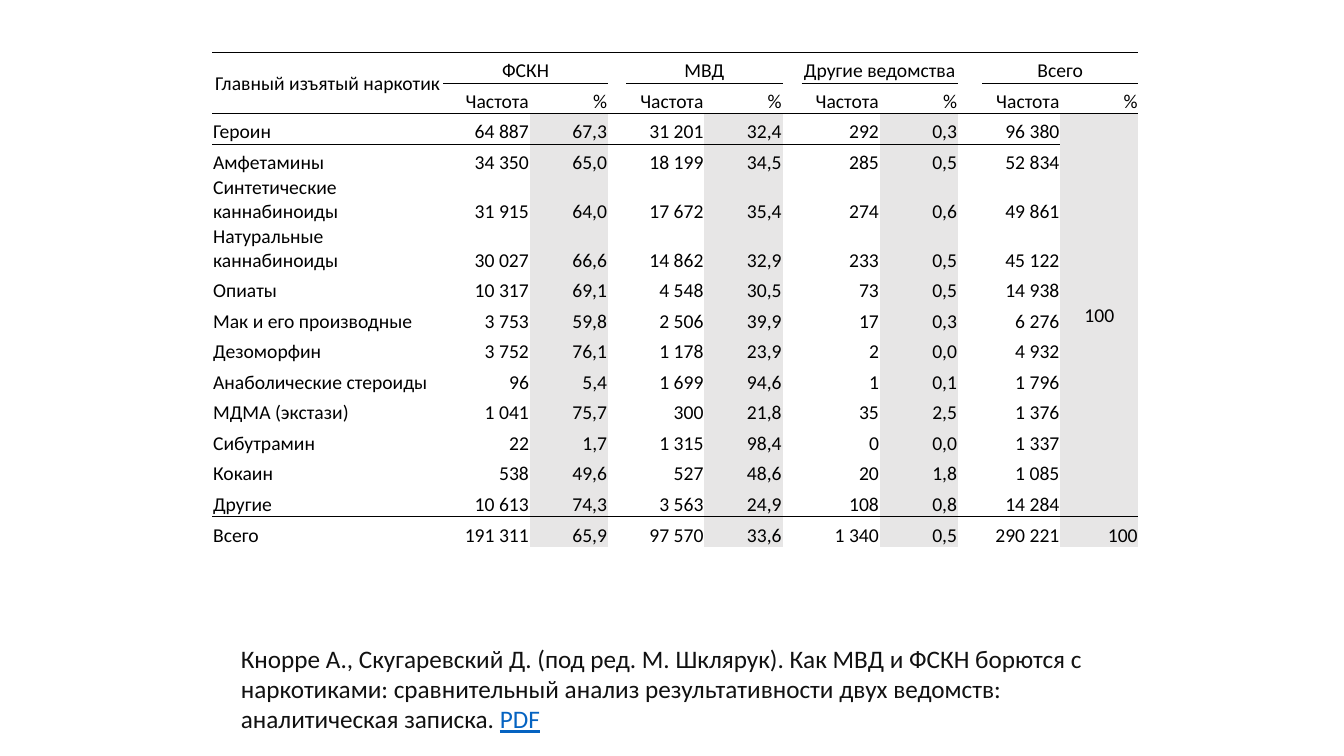
from lxml import etree
from pptx import Presentation
from pptx.dml.color import RGBColor
from pptx.enum.text import MSO_ANCHOR, MSO_AUTO_SIZE, PP_ALIGN
from pptx.oxml import parse_xml
from pptx.oxml.ns import nsdecls, qn
from pptx.util import Cm, Pt

LEFT, CENTER, RIGHT = PP_ALIGN.LEFT, PP_ALIGN.CENTER, PP_ALIGN.RIGHT
MIDDLE, BOTTOM = MSO_ANCHOR.MIDDLE, MSO_ANCHOR.BOTTOM
FIT_SHAPE = MSO_AUTO_SIZE.SHAPE_TO_FIT_TEXT

THEME = {
    "font": "Calibri", "table_size": 14, "note_size": 18, "rule_width": 0.5,
    "ink": "000000", "note": "111111", "link": "0563C1",
    "shade": "E7E6E6", "paper": "FFFFFF",
}
NO_STYLE = "{2D5ABB26-0587-4C30-8999-92F81FD0307C}"

AGENCIES = ["ФСКН", "МВД", "Другие ведомства", "Всего"]
DRUGS = [
    ("Героин", "64 887", "67,3", "31 201", "32,4", "292", "0,3", "96 380", "100"),
    ("Амфетамины", "34 350", "65,0", "18 199", "34,5", "285", "0,5", "52 834", ""),
    ("Синтетические каннабиноиды", "31 915", "64,0", "17 672", "35,4", "274", "0,6", "49 861", ""),
    ("Натуральные каннабиноиды", "30 027", "66,6", "14 862", "32,9", "233", "0,5", "45 122", ""),
    ("Опиаты", "10 317", "69,1", "4 548", "30,5", "73", "0,5", "14 938", ""),
    ("Мак и его производные", "3 753", "59,8", "2 506", "39,9", "17", "0,3", "6 276", ""),
    ("Дезоморфин", "3 752", "76,1", "1 178", "23,9", "2", "0,0", "4 932", ""),
    ("Анаболические стероиды", "96", "5,4", "1 699", "94,6", "1", "0,1", "1 796", ""),
    ("МДМА (экстази)", "1 041", "75,7", "300", "21,8", "35", "2,5", "1 376", ""),
    ("Сибутрамин", "22", "1,7", "1 315", "98,4", "0", "0,0", "1 337", ""),
    ("Кокаин", "538", "49,6", "527", "48,6", "20", "1,8", "1 085", ""),
    ("Другие", "10 613", "74,3", "3 563", "24,9", "108", "0,8", "14 284", ""),
    ("Всего", "191 311", "65,9", "97 570", "33,6", "1 340", "0,5", "290 221", "100"),
]
WIDTHS = [5.82, 2.18, 1.97, 0.46, 1.97, 1.97, 0.48, 1.97, 1.97, 0.61, 1.97, 1.97]
ROW_HEIGHT, TALL_HEIGHT = 0.77, 1.23
TALL_ROWS = (4, 5)
FREQ_COLS, SHARE_COLS, GAP_COLS = (1, 4, 7, 10), (2, 5, 8, 11), (3, 6, 9)
LAST_ROW = len(DRUGS) + 1
LAST_COL = len(WIDTHS) - 1


def add_text(p, text, size, color, underline=None):
    r = p.add_run()
    r.text = text
    font = {"name": THEME["font"], "size": Pt(size), "underline": underline}
    for key, value in font.items():
        setattr(r.font, key, value)
    r.font.color.rgb = RGBColor.from_string(color)


def add_border(cell, side):
    width = Pt(THEME["rule_width"])
    cell._tc.get_or_add_tcPr().insert(0, parse_xml(
        f'<a:ln{side} {nsdecls("a")} w="{width}"><a:solidFill>'
        f'<a:srgbClr val="{THEME["ink"]}"/></a:solidFill></a:ln{side}>'))


prs = Presentation()
prs.slide_width, prs.slide_height = Cm(33.87), Cm(19.05)
s = prs.slides.add_slide(prs.slide_layouts[6])

texts = {(0, 0): "Главный изъятый наркотик"}
for agency, freq, share in zip(AGENCIES, FREQ_COLS, SHARE_COLS):
    texts.update({(0, freq): agency, (1, freq): "Частота", (1, share): "%"})
value_cols = [c for c in range(len(WIDTHS)) if c not in GAP_COLS]
for row, drug in enumerate(DRUGS, 2):
    for col, value in zip(value_cols, drug):
        texts[row, col] = value

heights = [TALL_HEIGHT if row in TALL_ROWS else ROW_HEIGHT for row in range(LAST_ROW + 1)]
frame = s.shapes.add_table(len(heights), len(WIDTHS), Cm(5.35), Cm(1.32),
                           Cm(sum(WIDTHS)), Cm(sum(heights)))
table = frame.table
table.first_row = table.horz_banding = False
table._tbl.tblPr.find(qn("a:tableStyleId")).text = NO_STYLE
for column, width in zip(table.columns, WIDTHS):
    column.width = Cm(width)
for row, height in zip(table.rows, heights):
    row.height = Cm(height)

table.cell(0, 0).merge(table.cell(1, 0))
for freq, share in zip(FREQ_COLS, SHARE_COLS):
    table.cell(0, freq).merge(table.cell(0, share))
table.cell(2, LAST_COL).merge(table.cell(LAST_ROW - 1, LAST_COL))

for row in range(len(heights)):
    for col in range(len(WIDTHS)):
        cell = table.cell(row, col)
        whole_share = (row, col) == (2, LAST_COL)
        layout = {
            "margin_left": Cm(0.02), "margin_right": Cm(0.02),
            "margin_top": Cm(0.02), "margin_bottom": 0,
            "vertical_anchor": MIDDLE if whole_share or (row, col) == (0, 0) else BOTTOM,
        }
        for key, value in layout.items():
            setattr(cell, key, value)

        if row > 1 and col in SHARE_COLS:
            cell.fill.solid()
            cell.fill.fore_color.rgb = RGBColor.from_string(THEME["shade"])
        elif row < 2 and col in GAP_COLS:
            cell.fill.solid()
            cell.fill.fore_color.rgb = RGBColor.from_string(THEME["paper"])
        else:
            cell.fill.background()

        grouped = col not in GAP_COLS
        if row in (1, LAST_ROW - 1) or (row == 0 and grouped) or whole_share:
            add_border(cell, "B")
        if row in (0, 2, LAST_ROW) or (row == 1 and grouped):
            add_border(cell, "T")

        p = cell.text_frame.paragraphs[0]
        if row == 0 or whole_share:
            p.alignment = CENTER
        else:
            p.alignment = RIGHT if col else LEFT
        if texts.get((row, col)):
            add_text(p, texts[row, col], THEME["table_size"], THEME["ink"])
        etree.SubElement(p._p, qn("a:endParaRPr"), sz=str(THEME["table_size"] * 100))

tf = s.shapes.add_textbox(Cm(5.82), Cm(16.08), Cm(22.76), Cm(2.57)).text_frame
tf.word_wrap = True
tf.auto_size = FIT_SHAPE
p = tf.paragraphs[0]
add_text(p, "Кнорре А., Скугаревский Д. (под ред. М. Шклярук). Как МВД и ФСКН борются с "
            "наркотиками: сравнительный анализ результативности двух ведомств: "
            "аналитическая записка. ", THEME["note_size"], THEME["note"])
add_text(p, "PDF", THEME["note_size"], THEME["link"], True)

prs.save("out.pptx")
